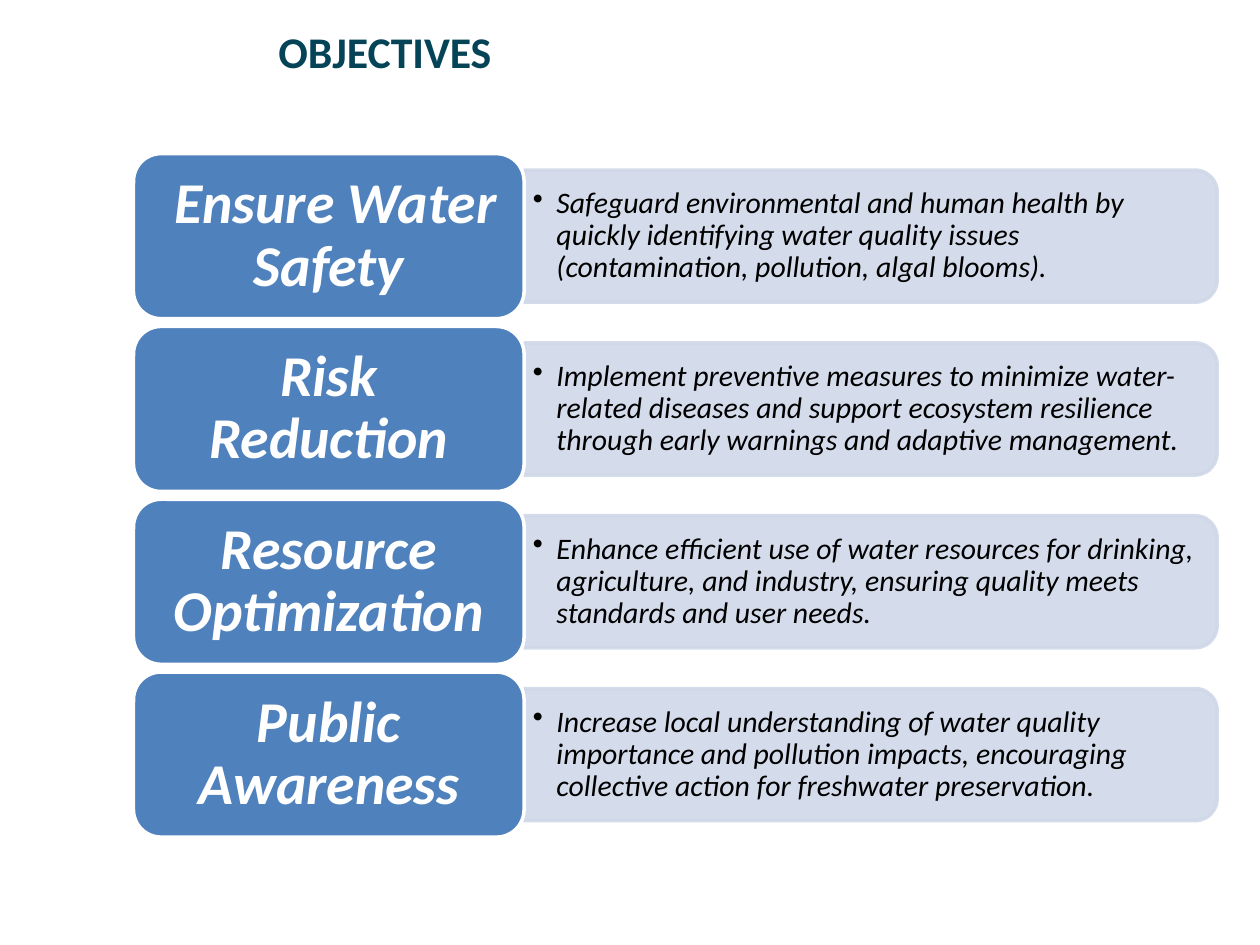
import pptx
import pptx.dml.color
import pptx.enum.shapes
import pptx.enum.text
import pptx.oxml.ns
import pptx.util
from lxml import etree

Pt = pptx.util.Pt
SHAPES = pptx.enum.shapes.MSO_SHAPE
ALIGN = pptx.enum.text.PP_ALIGN

# Content
HEADING = "OBJECTIVES"
OBJECTIVES = [
    (" Ensure Water Safety",
     "Safeguard environmental and human health by quickly identifying water "
     "quality issues (contamination, pollution, algal blooms)."),
    ("Risk Reduction",
     "Implement preventive measures to minimize water-related diseases and "
     "support ecosystem resilience through early warnings and adaptive management."),
    ("Resource Optimization",
     "Enhance efficient use of water resources for drinking, agriculture, and "
     "industry, ensuring quality meets standards and user needs."),
    ("Public Awareness",
     "Increase local understanding of water quality importance and pollution "
     "impacts, encouraging collective action for freshwater preservation."),
]

# Formats
HEADING_FONT = {"name": "Calibri", "size": Pt(25), "bold": True}
GOAL_FONT = {"name": "Calibri", "size": Pt(33), "bold": True, "italic": True}
DETAIL_FONT = {"name": "Calibri", "size": Pt(17), "italic": True}

# Layout in points
FIRST_TOP, ROW_PITCH = 87.8, 98.75
GOAL_LEFT, GOAL_WIDTH, GOAL_HEIGHT = 76.3, 223.2, 94.3
GOAL_MARGIN = 4.6
BAR_LEFT, BAR_LENGTH, BAR_HEIGHT = 299.5, 396, 75.5
DETAIL_WIDTH, DETAIL_HEIGHT = 392.3, 68
BULLET_INDENT = 13.5


def rgb(value):
    return pptx.dml.color.RGBColor.from_string(value)


def set_all(target, values):
    for name, value in values.items():
        setattr(target, name, value)


def add_box(slide, preset, frame, fill, line, opacity=100):
    box = slide.shapes.add_shape(preset, *map(Pt, frame))
    box.shadow.inherit = False
    box.fill.solid()
    box.fill.fore_color.rgb = rgb(fill)
    box.line.color.rgb = rgb(line)
    box.line.width = Pt(2)
    if opacity < 100:
        for color in box.element.spPr.iter(pptx.oxml.ns.qn("a:srgbClr")):
            alpha = etree.SubElement(color, pptx.oxml.ns.qn("a:alpha"))
            alpha.set("val", str(opacity * 1000))
    return box


def add_text(slide, frame, text, font, color, insets, align=ALIGN.LEFT, spacing=0.9):
    text_frame = slide.shapes.add_textbox(*map(Pt, frame)).text_frame
    side, end = map(Pt, insets)
    set_all(text_frame, {
        "word_wrap": True, "vertical_anchor": pptx.enum.text.MSO_ANCHOR.MIDDLE,
        "margin_left": side, "margin_right": side,
        "margin_top": end, "margin_bottom": end,
    })
    paragraph = text_frame.paragraphs[0]
    set_all(paragraph, {"alignment": align, "line_spacing": spacing})
    run = paragraph.add_run()
    run.text = text
    set_all(run.font, font)
    run.font.color.rgb = rgb(color)
    return paragraph


def add_bullet(paragraph):
    properties = paragraph._p.get_or_add_pPr()
    properties.set("marL", str(Pt(BULLET_INDENT)))
    properties.set("indent", str(-Pt(BULLET_INDENT)))
    bullet = etree.SubElement(properties, pptx.oxml.ns.qn("a:buChar"))
    bullet.set("char", "•")


def add_objective(slide, top, goal, detail):
    middle = top + GOAL_HEIGHT / 2

    # Detail bar: an upright shape turned so its round corners face right
    bar_center = BAR_LEFT + BAR_LENGTH / 2
    bar = add_box(slide, SHAPES.ROUND_2_SAME_RECTANGLE,
                  (bar_center - BAR_HEIGHT / 2, middle - BAR_LENGTH / 2,
                   BAR_HEIGHT, BAR_LENGTH), "D0D8E8", "D0D8E8", opacity=90)
    bar.rotation = 90
    add_bullet(add_text(
        slide, (BAR_LEFT, middle - DETAIL_HEIGHT / 2, DETAIL_WIDTH, DETAIL_HEIGHT),
        detail, DETAIL_FONT, "000000", (5, 2.7)))

    # Goal label
    add_box(slide, SHAPES.ROUNDED_RECTANGLE,
            (GOAL_LEFT, top, GOAL_WIDTH, GOAL_HEIGHT), "4F81BD", "FFFFFF")
    add_text(slide, (GOAL_LEFT + GOAL_MARGIN, top + GOAL_MARGIN,
                     GOAL_WIDTH - 2 * GOAL_MARGIN, GOAL_HEIGHT - 2 * GOAL_MARGIN),
             goal, GOAL_FONT, "FFFFFF", (10, 5), ALIGN.CENTER)


def main():
    deck = pptx.Presentation()
    set_all(deck, {"slide_width": Pt(720), "slide_height": Pt(540)})
    slide = deck.slides.add_slide(deck.slide_layouts[6])

    add_text(slide, (152, -2, 534, 62.6), HEADING, HEADING_FONT, "054357",
             (7.2, 3.6), spacing=1.0)
    for row, (goal, detail) in enumerate(OBJECTIVES):
        add_objective(slide, FIRST_TOP + row * ROW_PITCH, goal, detail)

    deck.save("out.pptx")


if __name__ == "__main__":
    main()
